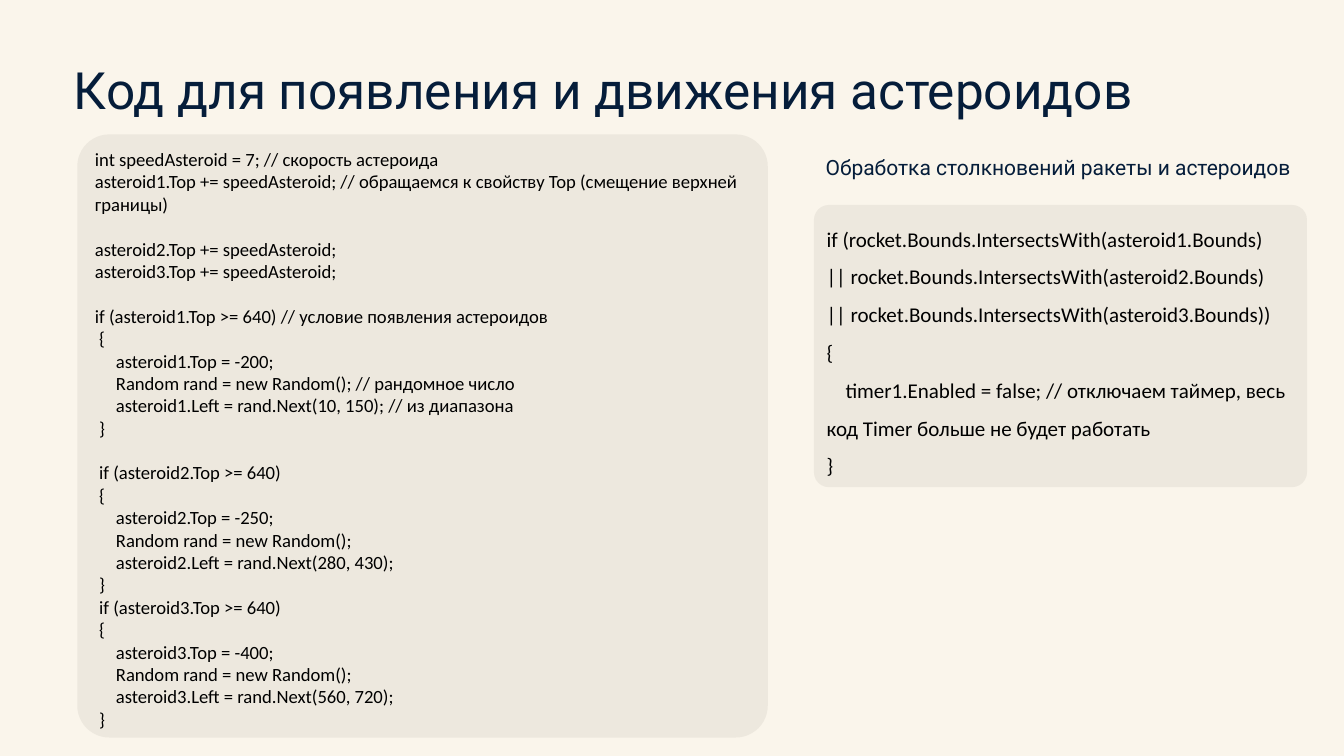
from pptx import Presentation
from pptx.dml.color import RGBColor
from pptx.enum.shapes import MSO_SHAPE
from pptx.enum.text import MSO_ANCHOR, PP_ALIGN
from pptx.util import Inches, Pt

COLORS = {"background": "FAF5EB", "heading": "051D3A", "panel": "EDE8DE", "code": "000000"}

HEADINGS = [
    ("Код для появления и движения астероидов", (0.88, 0.66, 14.15, 0.77), 44),
    ("Обработка столкновений ракеты и астероидов", (9.83, 1.37, 5.6, 0.77), 18),
]

COLLISION_CODE = [[
    "if (rocket.Bounds.IntersectsWith(asteroid1.Bounds)",
    "|| rocket.Bounds.IntersectsWith(asteroid2.Bounds)",
    "|| rocket.Bounds.IntersectsWith(asteroid3.Bounds))",
    "{",
    "    timer1.Enabled = false; // отключаем таймер, весь код Timer больше не будет работать",
    "}",
]]

MOVEMENT_CODE = [
    [
        "int speedAsteroid = 7; // скорость астероида",
        "asteroid1.Top += speedAsteroid; // обращаемся к свойству Top (смещение верхней границы)",
    ],
    [
        "asteroid2.Top += speedAsteroid;",
        "asteroid3.Top += speedAsteroid;",
    ],
    [
        "if (asteroid1.Top >= 640) // условие появления астероидов",
        " {",
        "     asteroid1.Top = -200;",
        "     Random rand = new Random(); // рандомное число",
        "     asteroid1.Left = rand.Next(10, 150); // из диапазона",
        " }",
    ],
    [
        " if (asteroid2.Top >= 640)",
        " {",
        "     asteroid2.Top = -250;",
        "     Random rand = new Random();",
        "     asteroid2.Left = rand.Next(280, 430);",
        " }",
        " if (asteroid3.Top >= 640)",
        " {",
        "     asteroid3.Top = -400;",
        "     Random rand = new Random();",
        "     asteroid3.Left = rand.Next(560, 720);",
        " }",
    ],
]

PANELS = [
    (COLLISION_CODE, (9.69, 2.44, 5.87, 3.36), 18, 1.5),
    (MOVEMENT_CODE, (0.92, 1.6, 8.22, 7.18), 16, 1.0),
]
CORNER = 0.053
BLOCK_GAP = 1.2


def color(name):
    return RGBColor.from_string(COLORS[name])


def add_run(paragraph, text, font_name, size, color_name):
    run = paragraph.add_run()
    run.text = text
    run.font.name = font_name
    run.font.size = Pt(size)
    run.font.color.rgb = color(color_name)


def add_heading(slide, text, box, size):
    shape = slide.shapes.add_textbox(*map(Inches, box))
    frame = shape.text_frame
    frame.word_wrap = False
    frame.margin_left = frame.margin_right = frame.margin_top = frame.margin_bottom = 0
    paragraph = frame.paragraphs[0]
    paragraph.line_spacing = Pt(55)
    add_run(paragraph, text, "Roboto", size, "heading")


def add_code_panel(slide, blocks, box, size, line_spacing):
    shape = slide.shapes.add_shape(MSO_SHAPE.ROUNDED_RECTANGLE, *map(Inches, box))
    shape.adjustments[0] = CORNER
    shape.shadow.inherit = False
    shape.fill.solid()
    shape.fill.fore_color.rgb = color("panel")
    shape.line.fill.background()
    frame = shape.text_frame
    frame.word_wrap = True
    frame.vertical_anchor = MSO_ANCHOR.TOP
    for block_index, block in enumerate(blocks):
        for line_index, line in enumerate(block):
            first = block_index == 0 and line_index == 0
            paragraph = frame.paragraphs[0] if first else frame.add_paragraph()
            paragraph.alignment = PP_ALIGN.LEFT
            paragraph.line_spacing = line_spacing
            if block_index and line_index == 0:
                paragraph.space_before = Pt(size * BLOCK_GAP)
            add_run(paragraph, line, "Calibri", size, "code")


def main():
    presentation = Presentation()
    presentation.slide_width = Inches(16)
    presentation.slide_height = Inches(9)
    slide = presentation.slides.add_slide(presentation.slide_layouts[6])
    slide.background.fill.solid()
    slide.background.fill.fore_color.rgb = color("background")
    for heading in HEADINGS:
        add_heading(slide, *heading)
    for panel in PANELS:
        add_code_panel(slide, *panel)
    presentation.save("out.pptx")


if __name__ == "__main__":
    main()
